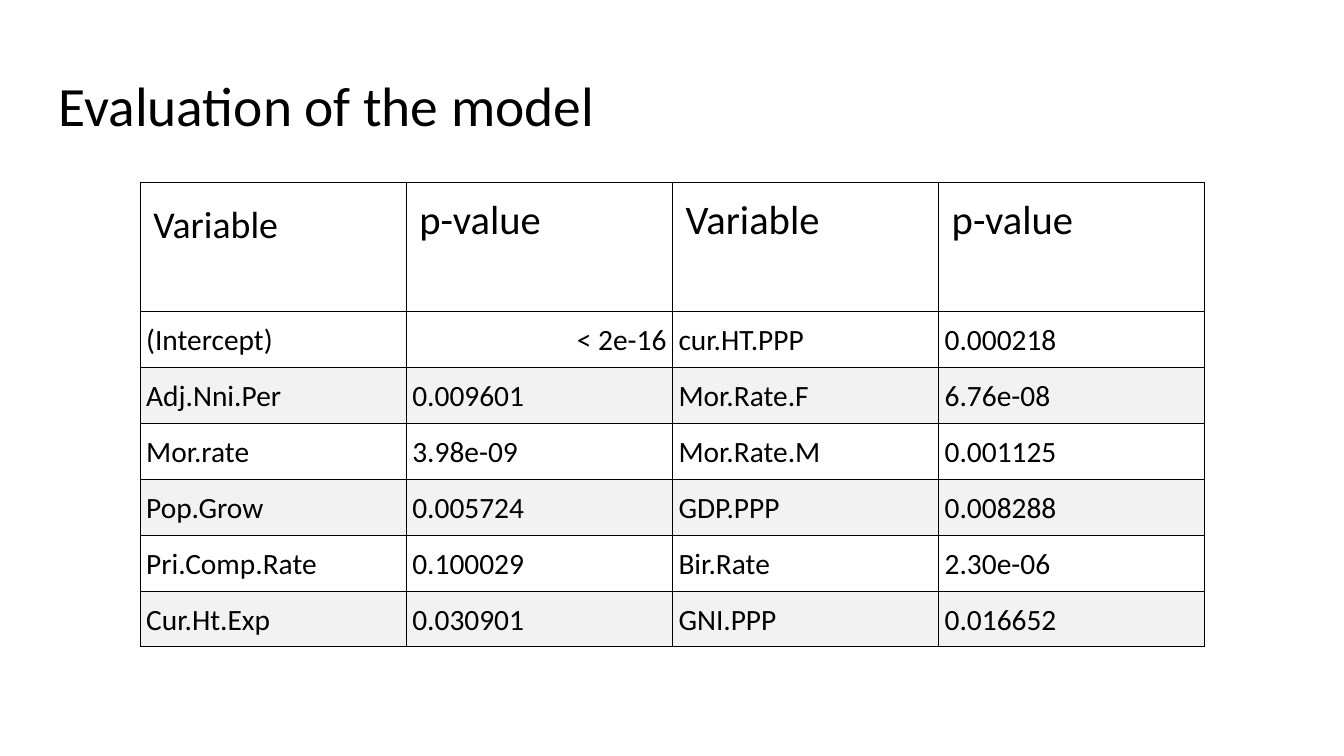
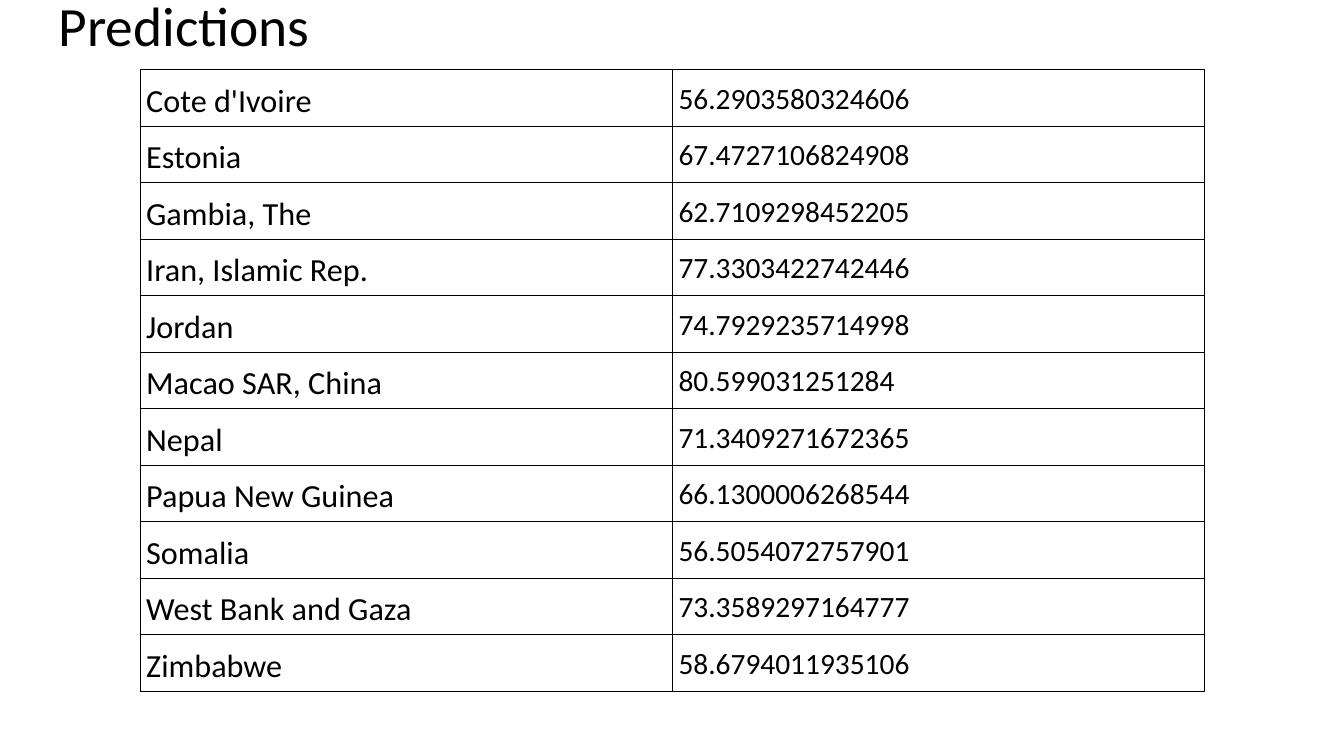
from dataclasses import dataclass

from lxml.etree import SubElement
from pptx import Presentation
from pptx.dml.color import RGBColor
from pptx.enum.text import MSO_ANCHOR, MSO_AUTO_SIZE, PP_ALIGN
from pptx.oxml.ns import qn
from pptx.util import Inches, Pt


@dataclass(frozen=True)
class Theme:
    font: str = "Calibri"
    ink: str = "000000"
    paper: str = "FFFFFF"
    band: str = "F2F2F2"
    title: float = 39.6
    lead: float = 27
    head: float = 29
    name: float = 23
    body: float = 21
    rule: float = 0.75


THEME = Theme()
LEFT, WIDTH = 1.39, 10.56
WIDE = (0.13,) * 4
TIGHT = (0.06, 0.06, 0.06, 0.05)

MODEL_HEAD = ["Variable", "p-value", "Variable", "p-value"]
MODEL = [
    ["(Intercept)", "< 2e-16", "cur.HT.PPP", "0.000218"],
    ["Adj.Nni.Per", "0.009601", "Mor.Rate.F", "6.76e-08"],
    ["Mor.rate", "3.98e-09", "Mor.Rate.M", "0.001125"],
    ["Pop.Grow", "0.005724", "GDP.PPP", "0.008288"],
    ["Pri.Comp.Rate", "0.100029", "Bir.Rate", "2.30e-06"],
    ["Cur.Ht.Exp", "0.030901", "GNI.PPP", "0.016652"],
]
FORECAST = [
    ["Cote d'Ivoire", "56.2903580324606"],
    ["Estonia", "67.4727106824908"],
    ["Gambia, The", "62.7109298452205"],
    ["Iran, Islamic Rep.", "77.3303422742446"],
    ["Jordan", "74.7929235714998"],
    ["Macao SAR, China", "80.599031251284"],
    ["Nepal", "71.3409271672365"],
    ["Papua New Guinea", "66.1300006268544"],
    ["Somalia", "56.5054072757901"],
    ["West Bank and Gaza", "73.3589297164777"],
    ["Zimbabwe", "58.6794011935106"],
]


def write(frame, text, size=THEME.body, spacing=1.15, align=PP_ALIGN.LEFT):
    para = frame.paragraphs[0]
    para.alignment = align
    para.line_spacing = spacing
    run = para.add_run()
    run.text = text
    run.font.name = THEME.font
    run.font.size = Pt(size)
    run.font.color.rgb = RGBColor.from_string(THEME.ink)


def inset(box, sides):
    """Set the left, top, right and bottom margins of a cell or text frame."""
    (box.margin_left, box.margin_top,
     box.margin_right, box.margin_bottom) = map(Inches, sides)


def add_page(deck, title, top):
    slide = deck.slides.add_slide(deck.slide_layouts[5])
    shape = slide.shapes.title
    shape.left, shape.top = Inches(0.45), Inches(top)
    shape.width, shape.height = Inches(12.42), Inches(0.84)
    frame = shape.text_frame
    frame.word_wrap = True
    frame.auto_size = MSO_AUTO_SIZE.NONE
    frame.vertical_anchor = MSO_ANCHOR.TOP
    inset(frame, WIDE)
    write(frame, title, size=THEME.title, spacing=0.9)
    return slide


def outline(cell):
    props = cell._tc.get_or_add_tcPr()
    for side in ("lnL", "lnR", "lnT", "lnB"):
        line = SubElement(props, qn(f"a:{side}"), w=str(Pt(THEME.rule)))
        fill = SubElement(line, qn("a:solidFill"))
        SubElement(fill, qn("a:srgbClr"), val=THEME.ink)


def fill_cell(cell, text, sides=TIGHT, fill=THEME.paper, **style):
    outline(cell)
    cell.fill.solid()
    cell.fill.fore_color.rgb = RGBColor.from_string(fill)
    cell.vertical_anchor = MSO_ANCHOR.TOP
    inset(cell, sides)
    write(cell.text_frame, text, **style)


def add_grid(slide, rows, cols, box):
    """Add an unstyled table with equal rows and columns in the box."""
    table = slide.shapes.add_table(rows, cols, *map(Inches, box)).table
    table.first_row = table.horz_banding = False
    return table


def model_table(slide, box):
    left, top, width, height = box
    table = add_grid(slide, len(MODEL) + 1, len(MODEL_HEAD), box)
    head = 1.28
    for row in table.rows:
        row.height = Inches((height - head) / len(MODEL))
    table.rows[0].height = Inches(head)
    for col, text in enumerate(MODEL_HEAD):
        size, gap = (THEME.head, 1) if col else (THEME.lead, 1.15)
        fill_cell(table.cell(0, col), text, sides=WIDE, size=size, spacing=gap)
    for row, texts in enumerate(MODEL, 1):
        fill = THEME.paper if row % 2 else THEME.band
        for col, text in enumerate(texts):
            align = PP_ALIGN.RIGHT if text.startswith("<") else PP_ALIGN.LEFT
            fill_cell(table.cell(row, col), text, fill=fill, align=align)


def forecast_table(slide, box):
    table = add_grid(slide, len(FORECAST), 2, box)
    for row, (name, value) in enumerate(FORECAST):
        fill_cell(table.cell(row, 0), name, size=THEME.name)
        fill_cell(table.cell(row, 1), value)


def main():
    deck = Presentation()
    deck.slide_width, deck.slide_height = Inches(13.33), Inches(7.5)
    page = add_page(deck, "Evaluation of the model", 0.65)
    model_table(page, (LEFT, 1.81, WIDTH, 4.61))
    page = add_page(deck, "Predictions", -0.14)
    forecast_table(page, (LEFT, 0.69, WIDTH, 6.17))
    deck.save("out.pptx")


if __name__ == "__main__":
    main()
